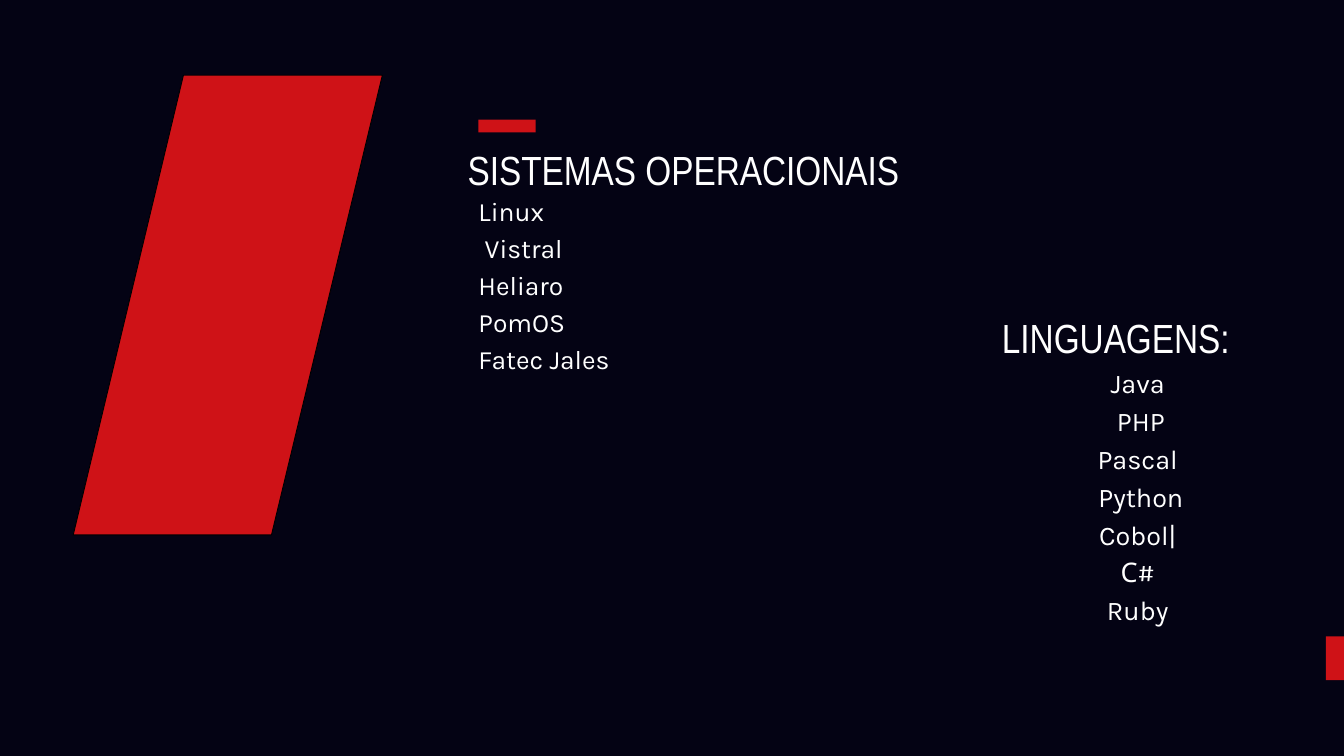
from pptx import Presentation
from pptx.dml.color import RGBColor
from pptx.enum.shapes import MSO_SHAPE
from pptx.enum.text import PP_ALIGN
from pptx.util import Inches, Pt

NAVY = RGBColor(0x04, 0x03, 0x14)
RED = RGBColor(0xCF, 0x12, 0x17)
BLACK = RGBColor(0, 0, 0)
WHITE = RGBColor(0xFF, 0xFF, 0xFF)

prs = Presentation()
prs.slide_width, prs.slide_height = Inches(20), Inches(11.25)
s = prs.slides.add_slide(prs.slide_layouts[6])
s.background.fill.solid()
s.background.fill.fore_color.rgb = NAVY


def add_lines(box, lines, font, size, spacing, align=PP_ALIGN.LEFT):
    tf = s.shapes.add_textbox(*map(Inches, box)).text_frame
    tf.word_wrap = True
    tf.margin_left = tf.margin_top = tf.margin_right = tf.margin_bottom = 0
    for i, line in enumerate(lines):
        p = tf.add_paragraph() if i else tf.paragraphs[0]
        p.alignment = align
        p.line_spacing = Pt(spacing)
        r = p.add_run()
        r.text = line
        r.font.name = font
        r.font.size = Pt(size)
        r.font.color.rgb = WHITE


# Red accent bars: right edge, above the first heading
for box in [(19.73, 9.47, 0.27, 0.65), (7.12, 1.78, 0.85, 0.19)]:
    sp = s.shapes.add_shape(MSO_SHAPE.RECTANGLE, *map(Inches, box))
    sp.shadow.inherit = False
    sp.fill.solid()
    sp.fill.fore_color.rgb = RED
    sp.line.fill.background()

# Slanted red panel
corners = [(Inches(x), Inches(y)) for x, y in
           [(5.69, 1.12), (4.04, 7.96), (1.09, 7.96), (2.73, 1.12)]]
fb = s.shapes.build_freeform(*corners[0])
fb.add_line_segments(corners[1:], close=True)
sp = fb.convert_to_shape()
sp.shadow.inherit = False
sp.fill.solid()
sp.fill.fore_color.rgb = RED
sp.line.color.rgb = BLACK
sp.line.width = Pt(1)

# Headings
for left, top, width, title in [(6.96, 2.04, 9.04, "SISTEMAS OPERACIONAIS"),
                                (14.91, 4.54, 5, "LINGUAGENS:")]:
    add_lines((left, top, width, 0.83), [title], "Arial Narrow", 43.6, 61)

# Operating systems
systems = ["Linux", " Vistral", "Heliaro", "PomOS", "Fatec Jales"]
add_lines((7.12, 2.82, 9.06, 2.75), systems, "Karla", 28.3, 39.6)

# Programming languages
languages = ["Java", " PHP", "Pascal", " Python", "Cobol|", "С#", "Ruby"]
add_lines((16.18, 5.38, 1.5, 3.94), languages, "Karla", 28.9, 40.5,
          PP_ALIGN.CENTER)

prs.save("out.pptx")
